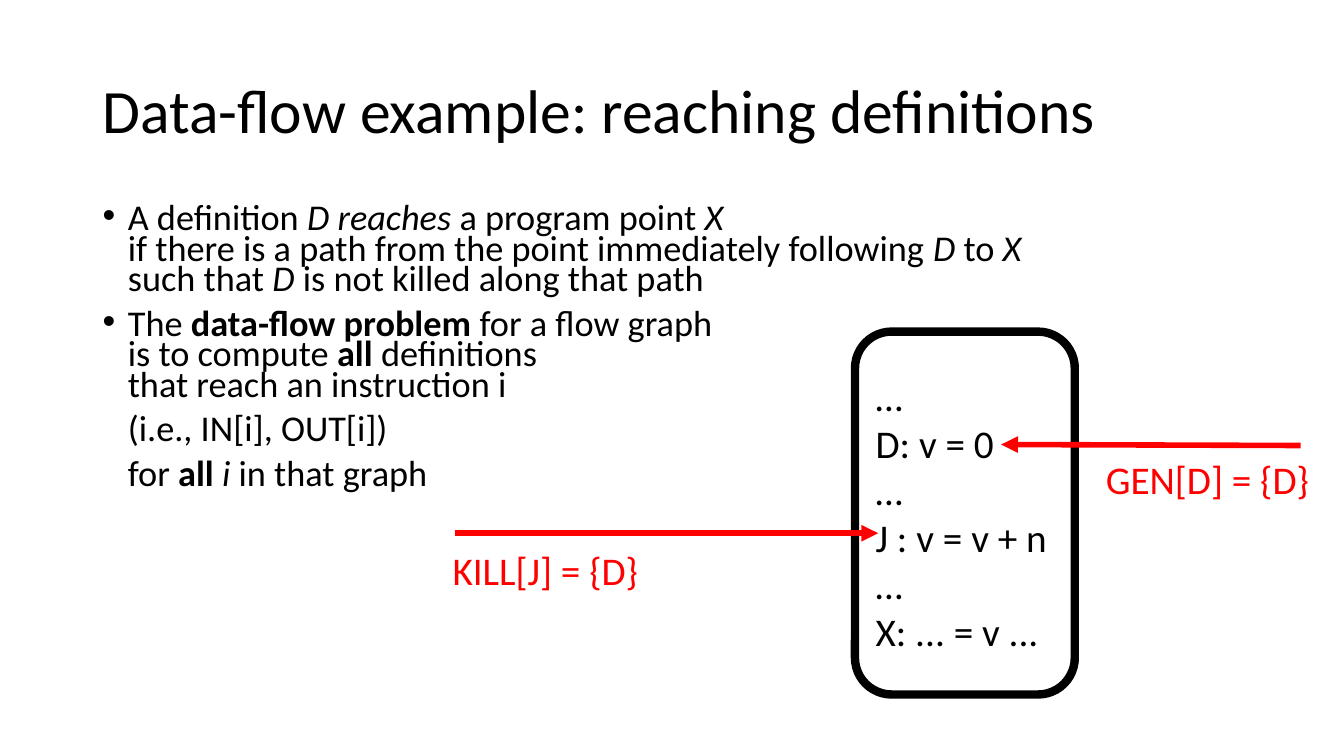
from dataclasses import dataclass

from lxml import etree
from pptx import Presentation
from pptx import util as u
from pptx.dml.color import RGBColor
from pptx.enum import shapes, text
from pptx.oxml.ns import qn


@dataclass(frozen=True)
class Theme:
    """Colours, font and type sizes of the slide."""
    font: str = "Calibri"
    ink: RGBColor = RGBColor(0x00, 0x00, 0x00)
    accent: RGBColor = RGBColor(0xFF, 0x00, 0x00)
    title: float = 44
    body: float = 25.9
    label: float = 28
    frame: float = 6
    arrow: float = 4


class Page:
    """Draws styled elements on one slide."""

    def __init__(self, slide, theme):
        self.slide = slide
        self.theme = theme

    def fill_text(self, shape, paragraphs, size, color, bullets=(), indent=0, **formats):
        """Fill a shape with paragraphs made of (words, style) spans."""
        frame = shape.text_frame
        for index, spans in enumerate(paragraphs):
            para = frame.paragraphs[0] if index == 0 else frame.add_paragraph()
            properties = para._p.get_or_add_pPr()
            if indent:
                properties.set("marL", str(u.Inches(indent)))
            if index in bullets:
                properties.set("indent", str(-u.Inches(indent)))
                etree.SubElement(properties, qn("a:buFont")).set("typeface", "Arial")
                etree.SubElement(properties, qn("a:buChar")).set("char", "•")
            settings = {"alignment": text.PP_ALIGN.LEFT, **formats}
            if index == 0:
                settings.pop("space_before", None)
            for name, value in settings.items():
                setattr(para, name, value)
            for words, style in spans:
                for number, line in enumerate(words.split("\n")):
                    if number:
                        para.add_line_break()
                    if line:
                        span = para.add_run()
                        span.text = line
                        self.style_font(span.font, size, color, style)

    def style_font(self, font, size, color, style):
        """Apply the theme font, a size, a colour and a style word."""
        font.color.rgb = color
        values = {"name": self.theme.font, "size": u.Pt(size),
                  "bold": style == "bold", "italic": style == "italic"}
        for name, value in values.items():
            setattr(font, name, value)

    def text_box(self, place, paragraphs, size, color, wrap=True,
                 anchor=text.MSO_ANCHOR.TOP, **formats):
        """Add a text box."""
        box = self.slide.shapes.add_textbox(*map(u.Inches, place))
        box.text_frame.word_wrap = wrap
        box.text_frame.vertical_anchor = anchor
        self.fill_text(box, paragraphs, size, color, **formats)

    def code_frame(self, place, lines):
        """Add a rounded outline that holds lines of code."""
        box = self.slide.shapes.add_shape(
            shapes.MSO_SHAPE.ROUNDED_RECTANGLE, *map(u.Inches, place))
        box.shadow.inherit = False
        box.fill.background()
        box.line.color.rgb = self.theme.ink
        box.line.width = u.Pt(self.theme.frame)
        box.text_frame.vertical_anchor = text.MSO_ANCHOR.MIDDLE
        self.fill_text(box, [[(line, "")] for line in lines], self.theme.label, self.theme.ink)

    def arrow(self, start, end):
        """Add an accent arrow that points at its end."""
        line = self.slide.shapes.add_connector(
            shapes.MSO_CONNECTOR.STRAIGHT, *map(u.Inches, (*start, *end)))
        line.line.color.rgb = self.theme.accent
        line.line.width = u.Pt(self.theme.arrow)
        outline = line._element.spPr.find(qn("a:ln"))
        etree.SubElement(outline, qn("a:tailEnd")).set("type", "triangle")
        etree.SubElement(line._element.spPr, qn("a:effectLst"))

    def label(self, place, words):
        """Add an accent label on one line."""
        self.text_box(place, [[(words, "")]], self.theme.label, self.theme.accent, wrap=False)


EXPLANATION = [
    [("A definition ", ""), ("D reaches ", "italic"), ("a program point ", ""),
     ("X", "italic"),
     ("\nif there is a path from the point immediately following ", ""),
     ("D ", "italic"), ("to ", ""), ("X", "italic"), ("\nsuch that ", ""),
     ("D ", "italic"), ("is not killed along that path", "")],
    [("The ", ""), ("data-flow problem ", "bold"),
     ("for a flow graph\nis to compute ", ""), ("all ", "bold"),
     ("definitions\nthat reach an instruction i", "")],
    [("(i.e., IN[i], OUT[i])", "")],
    [("for ", ""), ("all ", "bold"), ("i ", "italic"), ("in that graph", "")],
]
CODE = ["…", "D: v = 0", "…", "J : v = v + n", "…", "X: ... = v ..."]


def main():
    """Build the slide and save it."""
    deck = Presentation()
    deck.slide_width, deck.slide_height = u.Inches(13.33), u.Inches(7.5)
    theme = Theme()
    page = Page(deck.slides.add_slide(deck.slide_layouts[6]), theme)
    page.text_box((0.92, 0.4, 11.5, 1.45),
                  [[("Data-flow example: reaching definitions", "")]],
                  theme.title, theme.ink, anchor=text.MSO_ANCHOR.MIDDLE, line_spacing=0.9)
    page.text_box((0.92, 2, 11.26, 3.09), EXPLANATION, theme.body, theme.ink,
                  bullets=(0, 1), indent=0.25, line_spacing=0.7, space_before=u.Pt(10))
    page.code_frame((8.48, 3.29, 2.18, 3.6), CODE)
    page.arrow((4.51, 5.29), (8.71, 5.29))
    page.label((4.39, 5.37, 2.06, 0.57), "KILL[J] = {D}")
    page.arrow((12.9, 4.42), (9.93, 4.41))
    page.label((10.87, 4.47, 2.24, 0.57), "GEN[D] = {D}")
    deck.save("out.pptx")


if __name__ == "__main__":
    main()
